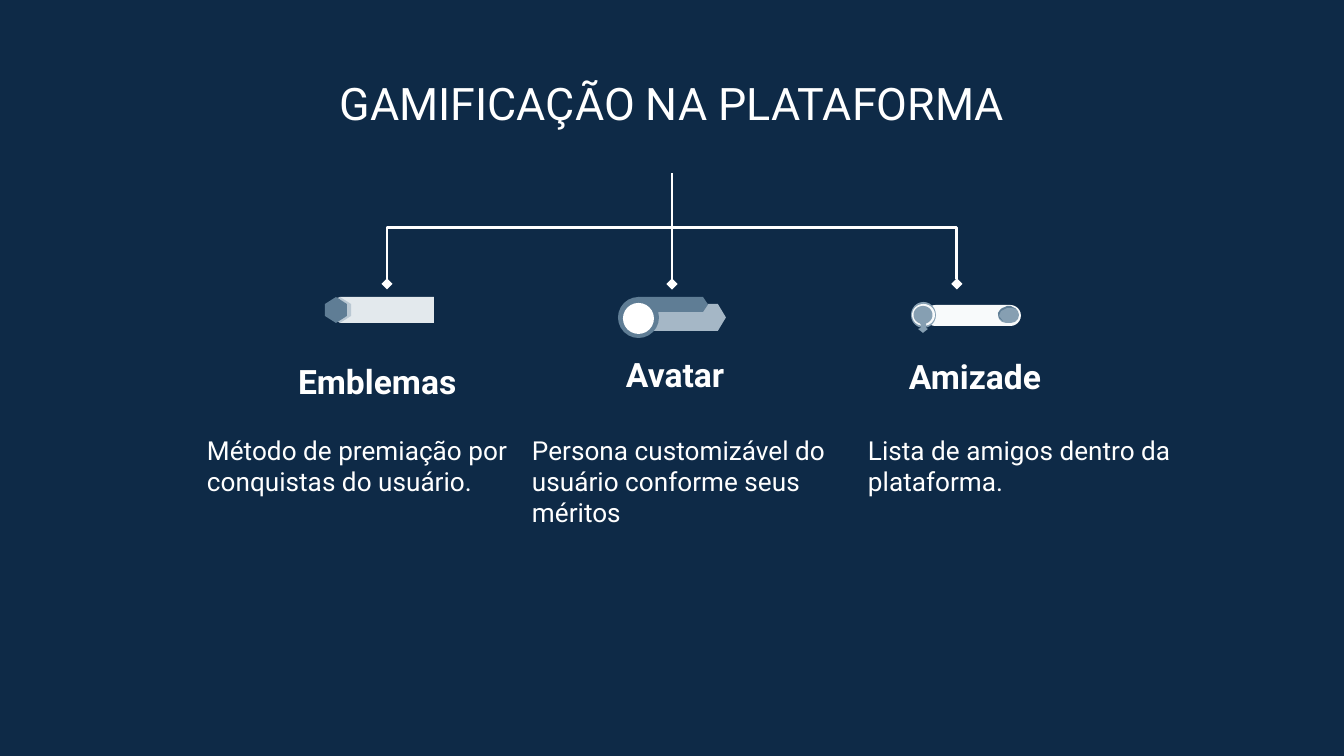
"""Build a slide on gamification with a three-branch tree of icons, heads and notes."""
import math
from typing import NamedTuple

import pptx
import pptx.dml.color
import pptx.enum.shapes
import pptx.enum.text
import pptx.oxml.ns
import pptx.slide
import pptx.util
from lxml import etree

RGB = pptx.dml.color.RGBColor
KIND = pptx.enum.shapes.MSO_SHAPE
LINK = pptx.enum.shapes.MSO_CONNECTOR
ALIGN = pptx.enum.text.PP_ALIGN
ANCHOR = pptx.enum.text.MSO_ANCHOR

NAVY = RGB(0x0E, 0x2A, 0x47)
WHITE = RGB(0xFF, 0xFF, 0xFF)
SNOW = RGB(0xF8, 0xFA, 0xFB)
MIST = RGB(0xE3, 0xE9, 0xED)
PALE = RGB(0xBA, 0xC8, 0xD3)
ASH = RGB(0xA5, 0xB7, 0xC6)
BLUE = RGB(0x86, 0x9F, 0xB2)
SLATE = RGB(0x5F, 0x7D, 0x95)

SCALE = 914400 / 134.4
INSET = 13


class Label(NamedTuple):
    text: str
    left: int
    top: int
    width: int
    height: int
    size: int
    bold: bool = False
    align: ALIGN = ALIGN.LEFT
    anchor: ANCHOR = ANCHOR.TOP


class Part(NamedTuple):
    kind: KIND
    left: int
    top: int
    width: int
    height: int
    fill: RGB
    adjust: float | None = None


class Shape(NamedTuple):
    points: list[tuple[float, float]]
    fill: RGB


class Branch(NamedTuple):
    kind: LINK
    start: tuple[int, int]
    end: tuple[int, int]


TOP, BUS, TIP = 173, 228, 284
MID, SPAN = 672, 285
BRANCHES = [
    Branch(LINK.STRAIGHT, (MID, TIP), (MID, TOP)),
    Branch(LINK.ELBOW, (MID - SPAN, TIP), (MID + 1, BUS)),
    Branch(LINK.ELBOW, (MID + SPAN, TIP), (MID - 2, BUS)),
]

ARC = [math.radians(turn) for turn in range(110, 431, 10)]
HEAD = [(923 + 9.5 * math.cos(turn), 315 + 9 * math.sin(turn)) for turn in ARC]
TAIL = [(926, 325), (926, 328), (928, 329), (923, 333), (918, 329), (921, 328), (921, 325)]

BADGE = [
    Part(KIND.RECTANGLE, 340, 297, 94, 26, MIST),
    Shape([(337, 321), (340, 323), (351, 316), (351, 304), (340, 297), (337, 298),
           (347, 304), (347, 316)], PALE),
    Shape([(325, 316), (336, 323), (347, 316), (347, 304), (336, 297), (325, 304)], SLATE),
]
AVATAR = [
    Part(KIND.PENTAGON, 641, 304, 85, 27, ASH, 0.3),
    Part(KIND.PENTAGON, 638, 297, 70, 15, SLATE, 0.33),
    Part(KIND.OVAL, 618, 297, 41, 41, SLATE),
    Part(KIND.OVAL, 623, 303, 31, 31, WHITE),
]
FRIEND = [
    Part(KIND.ROUNDED_RECTANGLE, 925, 305, 96, 21, SNOW, 0.5),
    Part(KIND.ROUNDED_RECTANGLE, 998, 307, 21, 16, BLUE, 0.5),
    Shape([(1007, 306), (1001, 309), (998, 313), (999, 318), (1003, 321), (999, 316),
           (1001, 311), (1007, 308), (1012, 308), (1016, 309), (1011, 306)], SLATE),
    Part(KIND.OVAL, 911, 302, 25, 26, BLUE),
    Part(KIND.OVAL, 919, 319, 9, 9, SLATE),
    Part(KIND.OVAL, 912, 304, 23, 22, SNOW),
    Shape(HEAD + TAIL, BLUE),
]

LABELS = [
    Label("GAMIFICAÇÃO NA PLATAFORMA", 63, 60, 1218, 85, 24,
          align=ALIGN.CENTER, anchor=ANCHOR.MIDDLE),
    Label("Emblemas", 285, 348, 215, 39, 18, True),
    Label("Avatar", 613, 341, 140, 39, 18, True),
    Label("Amizade", 896, 343, 192, 60, 18, True),
    Label("Método de premiação por conquistas do usuário.", 194, 421, 335, 85, 14),
    Label("Persona customizável do usuário conforme seus méritos", 519, 421, 335, 110, 14),
    Label("Lista de amigos dentro da plataforma.", 855, 421, 335, 85, 14),
]


def px(size: float) -> int:
    """Turn px into EMU."""
    return round(size * SCALE)


def apply(item: object, values: dict[str, object]) -> None:
    """Set each format value on the item."""
    for name, value in values.items():
        setattr(item, name, value)


def paint(shape: object, fill: RGB) -> None:
    """Give a shape a flat fill with no line or shadow."""
    shape.shadow.inherit = False
    shape.fill.solid()
    shape.fill.fore_color.rgb = fill
    shape.line.fill.background()


def draw_part(slide: pptx.slide.Slide, part: Part) -> None:
    """Draw a preset shape."""
    shape = slide.shapes.add_shape(part.kind, *map(px, part[1:5]))
    if part.adjust is not None:
        shape.adjustments[0] = part.adjust
    paint(shape, part.fill)


def draw_shape(slide: pptx.slide.Slide, shape: Shape) -> None:
    """Draw a closed outline."""
    first, *rest = [(px(x), px(y)) for x, y in shape.points]
    pen = slide.shapes.build_freeform(*first, scale=1.0)
    pen.add_line_segments(rest, close=True)
    paint(pen.convert_to_shape(), shape.fill)


def draw_branch(slide: pptx.slide.Slide, branch: Branch) -> None:
    """Draw a tree line with a diamond at its start."""
    link = slide.shapes.add_connector(branch.kind, *map(px, branch.start + branch.end))
    link.line.color.rgb = WHITE
    link.line.width = pptx.util.Pt(1.5)
    qn = pptx.oxml.ns.qn
    props = link.element.spPr
    etree.SubElement(props.find(qn("a:ln")), qn("a:headEnd"), type="diamond")
    etree.SubElement(props, qn("a:effectLst"))
    if branch.kind == LINK.ELBOW:
        guides = props.find(qn("a:prstGeom")).find(qn("a:avLst"))
        etree.SubElement(guides, qn("a:gd"), name="adj1", fmla="val 0")


def draw_label(slide: pptx.slide.Slide, label: Label) -> None:
    """Draw a text box."""
    frame = slide.shapes.add_textbox(*map(px, label[1:5])).text_frame
    sides = ("left", "top", "right", "bottom")
    apply(frame, {f"margin_{side}": px(INSET) for side in sides})
    apply(frame, {"word_wrap": True, "vertical_anchor": label.anchor})
    line = frame.paragraphs[0]
    line.alignment = label.align
    run = line.add_run()
    run.text = label.text
    apply(run.font, {"name": "Roboto", "size": pptx.util.Pt(label.size), "bold": label.bold})
    run.font.color.rgb = WHITE


def main() -> None:
    """Build and save the slide."""
    deck = pptx.Presentation()
    apply(deck, {"slide_width": px(1344), "slide_height": px(756)})
    slide = deck.slides.add_slide(deck.slide_layouts[6])
    slide.background.fill.solid()
    slide.background.fill.fore_color.rgb = NAVY
    for branch in BRANCHES:
        draw_branch(slide, branch)
    for piece in BADGE + AVATAR + FRIEND:
        draw = draw_part if isinstance(piece, Part) else draw_shape
        draw(slide, piece)
    for label in LABELS:
        draw_label(slide, label)
    deck.save("out.pptx")


if __name__ == "__main__":
    main()
